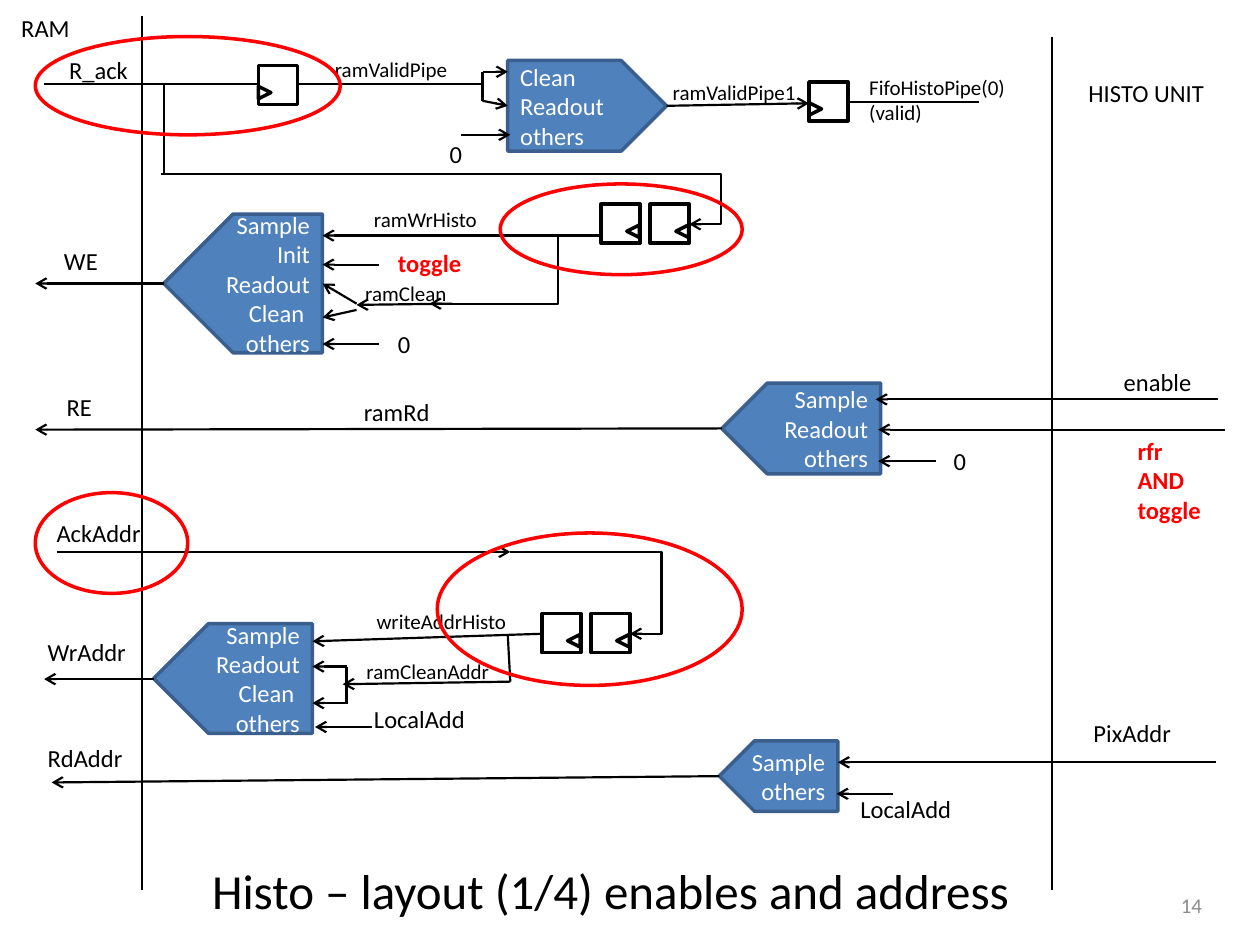
"""Draw the Histo enable and address routing diagram on a 1000 x 750 grid."""
from dataclasses import dataclass
from typing import NamedTuple, Optional

from lxml import etree
from pptx import Presentation
from pptx.dml.color import RGBColor
from pptx.enum.shapes import MSO_CONNECTOR, MSO_SHAPE
from pptx.enum.text import MSO_ANCHOR, MSO_AUTO_SIZE, PP_ALIGN
from pptx.oxml.ns import qn
from pptx.util import Emu, Inches, Pt

LEFT, CENTER, RIGHT = PP_ALIGN.LEFT, PP_ALIGN.CENTER, PP_ALIGN.RIGHT
MIDDLE, TOP = MSO_ANCHOR.MIDDLE, MSO_ANCHOR.TOP
FIT, FIXED = MSO_AUTO_SIZE.SHAPE_TO_FIT_TEXT, MSO_AUTO_SIZE.NONE
STRAIGHT, ELBOW = MSO_CONNECTOR.STRAIGHT, MSO_CONNECTOR.ELBOW
RECT, TRIANGLE = MSO_SHAPE.RECTANGLE, MSO_SHAPE.ISOSCELES_TRIANGLE
PLATE, OVAL = MSO_SHAPE.PENTAGON, MSO_SHAPE.OVAL
WIDTH, HEIGHT = Inches(10), Inches(7.5)
COLS, ROWS = 1000, 750


@dataclass(frozen=True)
class Theme:
    """Colours, font, type sizes and line widths."""
    font: str = "Calibri"
    ink: str = "000000"
    paper: str = "FFFFFF"
    fill: str = "4F81BD"
    edge: str = "3A5F8C"
    alert: str = "FF0000"
    muted: str = "8C8C8C"
    title: int = 28
    body: int = 14
    small: int = 12
    wire: float = 1.25
    outline: float = 2


T = Theme()


class Box(NamedTuple):
    """A rectangle in grid columns and rows."""
    x: float
    y: float
    w: float
    h: float


class Mux(NamedTuple):
    """A selector whose point faces its output."""
    box: Box
    inputs: str
    to_left: bool = True


class Register(NamedTuple):
    """A clocked register placed by its top left corner."""
    x: float
    y: float
    to_left: bool = False


class Wire(NamedTuple):
    """A signal line; bend is the column of an elbow's middle leg."""
    x1: float
    y1: float
    x2: float
    y2: float
    arrow: bool = True
    bend: Optional[float] = None


class Label(NamedTuple):
    """A signal name that keeps its own line breaks."""
    x: float
    y: float
    w: float
    text: str
    size: int = T.body
    color: str = T.ink
    bold: bool = False


MUXES = [
    Mux(Box(130, 170, 126, 110), "Sample\nInit\nReadout\nClean \nothers"),
    Mux(Box(573, 304, 126, 72), "Sample\nReadout\nothers"),
    Mux(Box(403, 48, 126, 72), "Clean\nReadout\nothers", False),
    Mux(Box(571, 588, 94, 56), "Sample\nothers"),
    Mux(Box(122, 495, 126, 87), "Sample\nReadout\nClean \nothers"),
]
REGISTERS = [
    Register(477, 162, True), Register(516, 162, True),
    Register(205, 52), Register(642, 65),
    Register(430, 487, True), Register(469, 487, True),
]
WIRES = [
    Wire(113, 13, 113, 706, False), Wire(835, 29, 835, 706, False),
    Wire(35, 67, 205, 67, False), Wire(236, 67, 383, 67, False),
    Wire(383, 80, 383, 57, False), Wire(383, 57, 403, 57),
    Wire(383, 80, 403, 84), Wire(366, 107, 405, 107),
    Wire(529, 84, 642, 82), Wire(673, 81, 777, 81, False),
    Wire(130, 138, 130, 67, False), Wire(128, 138, 547, 178, bend=572),
    Wire(477, 187, 256, 187), Wire(301, 210, 256, 210),
    Wire(301, 273, 256, 273), Wire(442, 187, 341, 241, bend=443),
    Wire(359, 241, 283, 242), Wire(283, 241, 256, 225),
    Wire(283, 246, 256, 252), Wire(130, 225, 28, 225),
    Wire(967, 317, 695, 317), Wire(972, 341, 697, 341),
    Wire(743, 366, 697, 366), Wire(573, 340, 28, 341),
    Wire(45, 438, 405, 438), Wire(405, 438, 500, 503, bend=525),
    Wire(430, 503, 248, 509), Wire(403, 504, 405, 541, False),
    Wire(405, 541, 272, 543), Wire(275, 529, 275, 559, False),
    Wire(275, 529, 248, 529), Wire(275, 558, 248, 558),
    Wire(295, 577, 250, 577), Wire(122, 539, 35, 539),
    Wire(965, 605, 665, 605), Wire(709, 630, 664, 630),
    Wire(571, 616, 41, 621),
]
LABELS = [
    Label(7, 5, 59, "RAM"), Label(854, 57, 112, "HISTO UNIT"),
    Label(45, 39, 67, "R_ack"), Label(256, 40, 110, "ramValidPipe", T.small),
    Label(347, 105, 30, "0"), Label(524, 58, 119, "ramValidPipe1", T.small),
    Label(680, 54, 129, "FifoHistoPipe(0)\n(valid)", T.small),
    Label(287, 159, 103, "ramWrHisto", T.small), Label(41, 190, 47, "WE"),
    Label(306, 192, 70, "toggle", color=T.alert, bold=True),
    Label(280, 218, 85, "ramClean", T.small), Label(306, 256, 30, "0"),
    Label(43, 306, 41, "RE"), Label(279, 310, 73, "ramRd"),
    Label(882, 286, 75, "enable"), Label(747, 349, 30, "0"),
    Label(893, 341, 70, "rfr\nAND\ntoggle", color=T.alert, bold=True),
    Label(35, 406, 88, "AckAddr"), Label(28, 501, 83, "WrAddr"),
    Label(289, 478, 124, "writeAddrHisto", T.small),
    Label(281, 518, 118, "ramCleanAddr", T.small),
    Label(287, 554, 93, "LocalAdd"), Label(28, 585, 80, "RdAddr"),
    Label(673, 625, 93, "LocalAdd"), Label(858, 565, 82, "PixAddr"),
]
RINGS = [Box(28, 29, 242, 78), Box(397, 146, 192, 72),
         Box(28, 391, 121, 80), Box(347, 423, 242, 121)]


def col(n: float) -> Emu:
    """Turn grid columns into a length."""
    return Emu(round(WIDTH * n / COLS))


def row(n: float) -> Emu:
    """Turn grid rows into a length."""
    return Emu(round(HEIGHT * n / ROWS))


def place(box: Box) -> tuple:
    """Give the left, top, width and height of a box."""
    return col(box.x), row(box.y), col(box.w), row(box.h)


def write(tf, text: str, size: int, color: str, align=LEFT, bold=False) -> None:
    """Write each line of text as one paragraph with one run."""
    for i, line in enumerate(text.split("\n")):
        p = tf.paragraphs[0] if i == 0 else tf.add_paragraph()
        p.alignment = align
        r = p.add_run()
        r.text = line
        r.font.name, r.font.size, r.font.bold = T.font, Pt(size), bold
        r.font.color.rgb = RGBColor.from_string(color)


def add_text(s, box: Box, text: str, size: int, color: str, align=LEFT,
             bold=False, anchor=TOP, wrap=True) -> None:
    """Add a text box."""
    tf = s.shapes.add_textbox(*place(box)).text_frame
    tf.word_wrap, tf.vertical_anchor = wrap, anchor
    tf.auto_size = FIXED if wrap else FIT
    write(tf, text, size, color, align, bold)


def add_shape(shapes, kind, box: Box, edge: str, fill: Optional[str] = None):
    """Add an outlined shape, filled if a fill is given."""
    sp = shapes.add_shape(kind, *place(box))
    sp.shadow.inherit = False
    sp.line.color.rgb, sp.line.width = RGBColor.from_string(edge), Pt(T.outline)
    if fill:
        sp.fill.solid()
        sp.fill.fore_color.rgb = RGBColor.from_string(fill)
    else:
        sp.fill.background()
    return sp


def add_mux(s, mux: Mux) -> None:
    """Add a selector with its list of inputs."""
    sp = add_shape(s.shapes, PLATE, mux.box, T.edge, T.fill)
    if mux.to_left:
        sp._element.spPr.get_or_add_xfrm().set("flipH", "1")
    tf = sp.text_frame
    tf.word_wrap, tf.vertical_anchor = True, MIDDLE
    write(tf, mux.inputs, T.body, T.paper, RIGHT if mux.to_left else LEFT)


def add_register(s, reg: Register) -> None:
    """Group a register's box with its clock mark."""
    shapes = s.shapes.add_group_shape().shapes
    add_shape(shapes, RECT, Box(reg.x, reg.y, 31, 31), T.ink)
    x = reg.x + (20.5 if reg.to_left else 0)
    mark = add_shape(shapes, TRIANGLE, Box(x, reg.y + 16.5, 10, 10), T.ink)
    mark.rotation = 270 if reg.to_left else 90


def add_wire(s, wire: Wire) -> None:
    """Add a straight or elbow wire, with an open arrowhead if asked."""
    kind = STRAIGHT if wire.bend is None else ELBOW
    c = s.shapes.add_connector(kind, col(wire.x1), row(wire.y1),
                               col(wire.x2), row(wire.y2))
    c.line.color.rgb, c.line.width = RGBColor.from_string(T.ink), Pt(T.wire)
    spPr = c._element.spPr
    if wire.bend is not None:
        share = (wire.bend - wire.x1) / (wire.x2 - wire.x1)
        guides = spPr.find(qn("a:prstGeom")).get_or_add_avLst()
        etree.SubElement(guides, qn("a:gd"), name="adj1",
                         fmla=f"val {round(share * 100000)}")
    if wire.arrow:
        etree.SubElement(c.line._get_or_add_ln(), qn("a:tailEnd"), type="arrow")
    etree.SubElement(spPr, qn("a:effectLst"))


def add_label(s, label: Label) -> None:
    """Add a signal name in a box as tall as its lines."""
    h = 10 + 1.68 * label.size * len(label.text.split("\n"))
    add_text(s, Box(label.x, label.y, label.w, h), label.text, label.size,
             label.color, bold=label.bold, wrap=False)


def main() -> None:
    """Build and save the slide."""
    prs = Presentation()
    prs.slide_width, prs.slide_height = WIDTH, HEIGHT
    s = prs.slides.add_slide(prs.slide_layouts[6])
    for draw, items in ((add_register, REGISTERS), (add_mux, MUXES),
                        (add_wire, WIRES), (add_label, LABELS)):
        for item in items:
            draw(s, item)
    for ring in RINGS:
        add_shape(s.shapes, OVAL, ring, T.alert)
    add_text(s, Box(106, 679, 757, 54), "Histo – layout (1/4) enables and address",
             T.title, T.ink, CENTER, anchor=MIDDLE)
    add_text(s, Box(731, 698, 233, 40), "14", T.small, T.muted, RIGHT, anchor=MIDDLE)
    prs.save("out.pptx")


if __name__ == "__main__":
    main()
